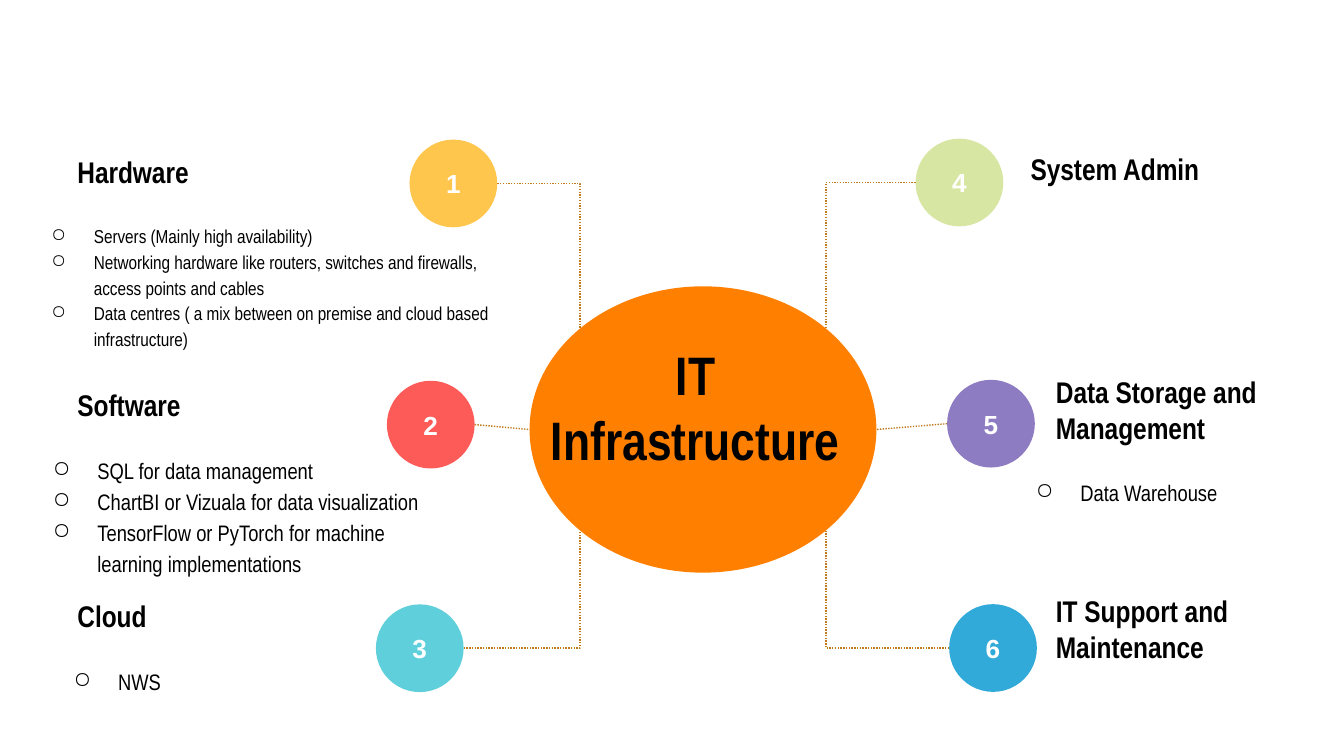
from lxml import etree
from pptx import Presentation
from pptx.dml.color import RGBColor
from pptx.enum.dml import MSO_LINE
from pptx.enum.shapes import MSO_CONNECTOR, MSO_SHAPE
from pptx.enum.text import MSO_ANCHOR, PP_ALIGN
from pptx.oxml.ns import qn
from pptx.util import Pt

OVAL = MSO_SHAPE.OVAL
STRAIGHT, ELBOW = MSO_CONNECTOR.STRAIGHT, MSO_CONNECTOR.ELBOW
DOT = MSO_LINE.ROUND_DOT
MIDDLE = MSO_ANCHOR.MIDDLE
LEFT, CENTER = PP_ALIGN.LEFT, PP_ALIGN.CENTER

NARROW = "Arial Narrow"
BLACK, WHITE, BROWN = "000000", "FFFFFF", "C0791B"
DIAMETER = 47
HUB = (283.7, 153.4, 185.8, 153.4)
ELBOW_INSET = 27
ELBOW_RISE = 54.5

STEPS = [
    ("1", 219.4, 74.8, "FFC64E"),
    ("2", 207.3, 204, "FD5B58"),
    ("3", 201.4, 323.8, "5FD0DB"),
    ("4", 490.5, 74.3, "D7E6A3"),
    ("5", 507.4, 203.5, "8E7CC3"),
    ("6", 508.5, 323.7, "32AAD9"),
]
HEADINGS = [
    ("Hardware", 34.4, 83.1, 133, 18),
    ("Software", 34.4, 207.6, 133, 18),
    ("Cloud", 34.4, 320.6, 133, 18),
    ("System Admin", 545, 64.8, 167, 51),
    ("Data Storage and Management", 558.6, 210.4, 132, 18),
    ("IT Support and Maintenance", 558.6, 327.7, 132, 18),
]
LISTS = [
    (["Servers (Mainly high availability)",
      "Networking hardware like routers, switches and firewalls, "
      "access points and cables",
      "Data centres ( a mix between on premise and cloud based "
      "infrastructure)"], -28.8, 119, 301.7, 68.4, 10),
    (["SQL for data management",
      "ChartBI or Vizuala for data visualization",
      "TensorFlow or PyTorch for machine learning implementations"],
     -26.9, 257.8, 275, 36, 12),
    (["NWS"], -15.8, 345.9, 133, 36, 12),
    (["Data Warehouse"], 499.7, 244.8, 268, 36, 12),
]


def rgb(color):
    return RGBColor.from_string(color)


def set_font(p, size, color=BLACK, bold=False, name=NARROW):
    f = p.font
    f.name, f.size, f.bold = name, Pt(size), bold
    f.color.rgb = rgb(color)


def prepare_frame(s):
    tf = s.text_frame
    tf.word_wrap = True
    tf.vertical_anchor = MIDDLE
    tf.margin_left = tf.margin_right = tf.margin_top = tf.margin_bottom = Pt(7.2)
    return tf


def add_oval(slide, x, y, w, h, color):
    s = slide.shapes.add_shape(OVAL, Pt(x), Pt(y), Pt(w), Pt(h))
    s.shadow.inherit = False
    s.fill.solid()
    s.fill.fore_color.rgb = rgb(color)
    s.line.fill.background()
    return s


def add_step(slide, number, x, y, color):
    tf = prepare_frame(add_oval(slide, x, y, DIAMETER, DIAMETER, color))
    p = tf.paragraphs[0]
    p.text = number
    p.alignment = CENTER
    set_font(p, 14, WHITE, True, "Arial")


def add_link(slide, kind, x1, y1, x2, y2):
    c = slide.shapes.add_connector(kind, Pt(x1), Pt(y1), Pt(x2), Pt(y2))
    c.line.color.rgb = rgb(BROWN)
    c.line.width = Pt(0.75)
    c.line.dash_style = DOT
    sp_pr = c._element.spPr
    etree.SubElement(sp_pr, qn("a:effectLst"))
    if kind == ELBOW:
        sp_pr.find(qn("a:prstGeom")).set("prst", "bentConnector2")


def link_to_hub(slide, x, y):
    left, top, width, height = HUB
    on_left = x < left
    x1 = x + DIAMETER if on_left else x
    y1 = y + DIAMETER / 2
    hub_x = left if on_left else left + width
    hub_y = top + height / 2
    if abs(y1 - hub_y) < ELBOW_RISE:
        add_link(slide, STRAIGHT, x1, y1, hub_x, hub_y)
        return
    x2 = hub_x + (ELBOW_INSET if on_left else -ELBOW_INSET)
    y2 = hub_y + (ELBOW_RISE if y1 > hub_y else -ELBOW_RISE)
    add_link(slide, ELBOW, x1, y1, x2, y2)


def add_text(slide, text, x, y, w, h, size=16, align=LEFT):
    s = slide.shapes.add_textbox(Pt(x), Pt(y), Pt(w), Pt(h))
    p = prepare_frame(s).paragraphs[0]
    p.text = text
    p.alignment = align
    set_font(p, size, bold=True)


def add_bullet(p, size):
    p_pr = p._p.get_or_add_pPr()
    p_pr.set("marL", str(Pt(72)))
    p_pr.set("indent", str(-Pt(18 + size / 2 - 0.2)))
    bu_clr = etree.SubElement(p_pr, qn("a:buClr"))
    etree.SubElement(bu_clr, qn("a:srgbClr")).set("val", BLACK)
    etree.SubElement(p_pr, qn("a:buChar")).set("char", "○")


def add_list(slide, items, x, y, w, h, size):
    s = slide.shapes.add_textbox(Pt(x), Pt(y), Pt(w), Pt(h))
    tf = prepare_frame(s)
    for i, item in enumerate(items):
        p = tf.add_paragraph() if i else tf.paragraphs[0]
        p.text = item
        p.level = 1
        add_bullet(p, size)
        p.line_spacing = 1.15
        set_font(p, size)


def main():
    prs = Presentation()
    prs.slide_width, prs.slide_height = Pt(720), Pt(405)
    slide = prs.slides.add_slide(prs.slide_layouts[6])
    for number, x, y, color in STEPS:
        add_step(slide, number, x, y, color)
        link_to_hub(slide, x, y)
    for heading in HEADINGS:
        add_text(slide, *heading)
    for bullets in LISTS:
        add_list(slide, *bullets)
    add_oval(slide, *HUB, "FF8001")
    add_text(slide, "IT Infrastructure", 283.7, 168.5, 177.8, 98.6, 29, CENTER)
    prs.save("out.pptx")


if __name__ == "__main__":
    main()
